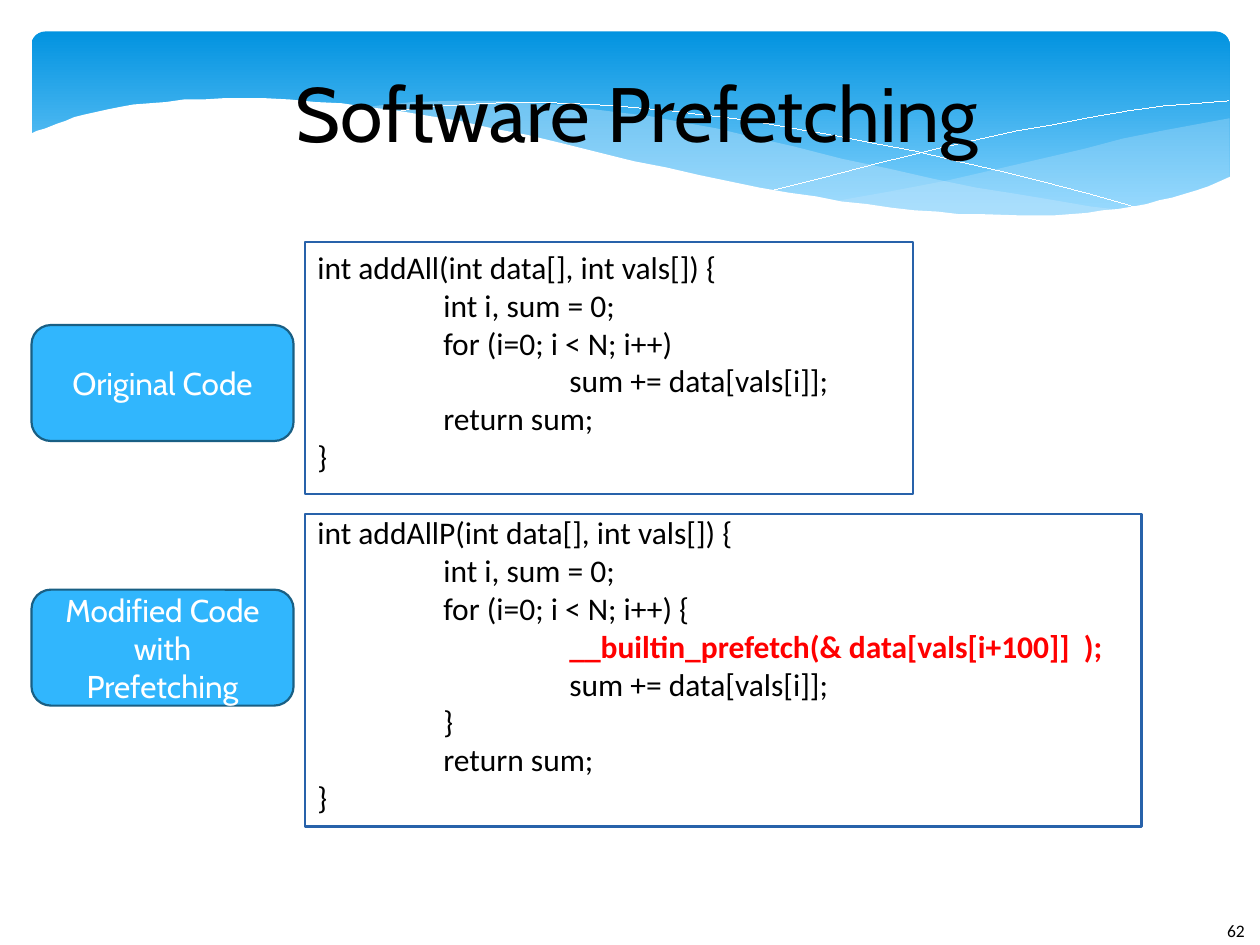
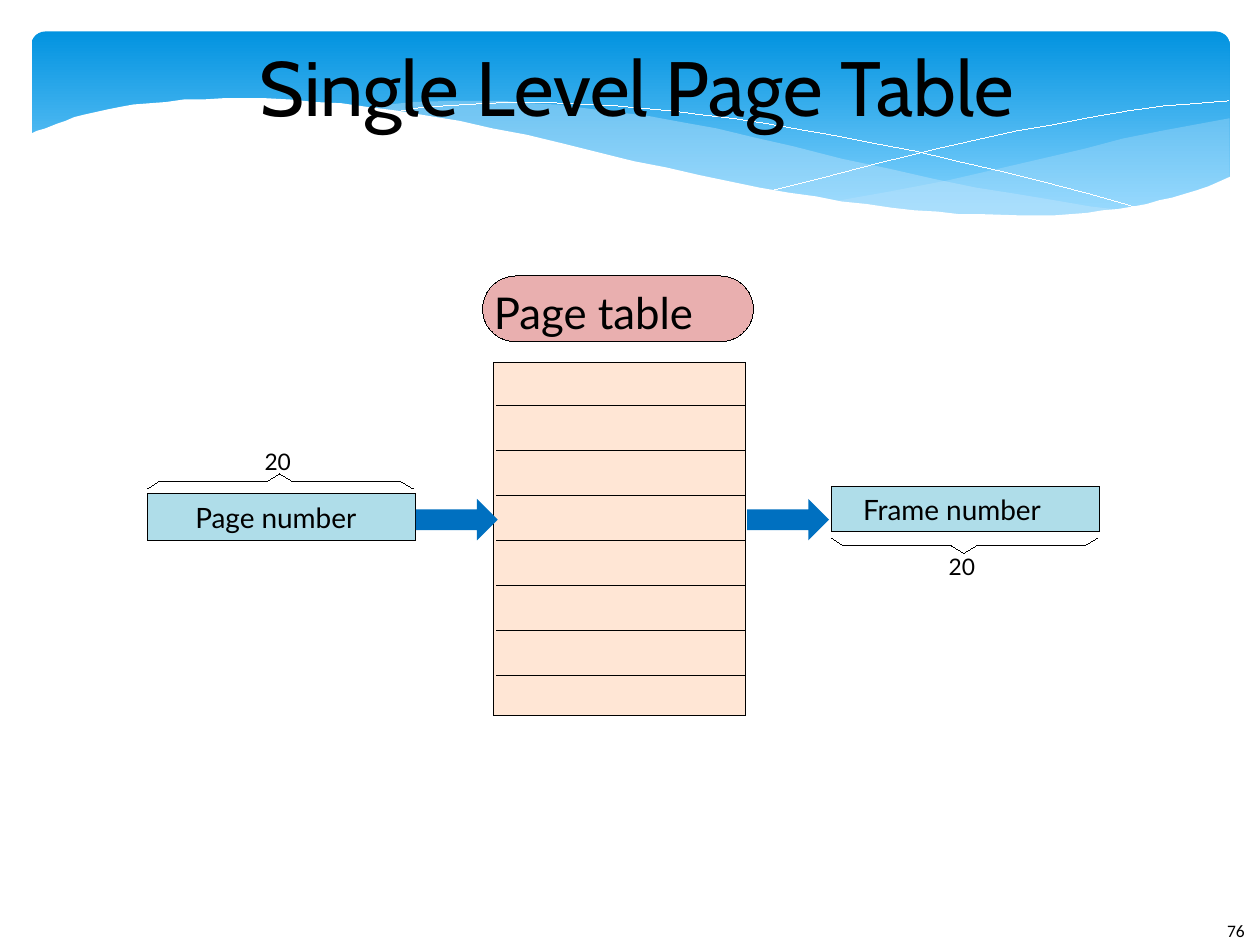
from dataclasses import dataclass

from lxml import etree
from pptx import Presentation
from pptx.dml.color import RGBColor
from pptx.enum.shapes import MSO_CONNECTOR, MSO_SHAPE
from pptx.enum.text import MSO_ANCHOR, MSO_AUTO_SIZE, PP_ALIGN
from pptx.oxml.ns import qn
from pptx.util import Inches, Pt

RECTANGLE = MSO_SHAPE.RECTANGLE
ROUNDED_RECTANGLE = MSO_SHAPE.ROUNDED_RECTANGLE
RIGHT_ARROW = MSO_SHAPE.RIGHT_ARROW
STRAIGHT = MSO_CONNECTOR.STRAIGHT
MIDDLE = MSO_ANCHOR.MIDDLE
CENTER = PP_ALIGN.CENTER
FIXED_SIZE = MSO_AUTO_SIZE.NONE
TITLE_ONLY = 5


@dataclass(frozen=True)
class Theme:
    """Colours, fonts and type sizes of the deck."""

    black: str = "000000"
    white: str = "FFFFFF"
    band_top: str = "0293E0"
    band_bottom: str = "83D3FE"
    wave: str = "C6E7FC"
    button: str = "31B6FD"
    button_line: str = "195F84"
    frame_line: str = "2862AA"
    highlight: str = "FF0000"
    field: str = "AFDDE9"
    table: str = "FFE6D5"
    pill: str = "E9AFAF"
    arrow: str = "0070C0"
    title_font: str = "Cabin"
    code_font: str = "Calibri"
    diagram_font: str = "Lato"
    title_size: int = 44
    pill_size: int = 25
    code_size: int = 18
    field_size: int = 16
    bits_size: int = 13
    number_size: int = 10
    frame_width: float = 1.25
    hairline: float = 0.01


THEME = Theme()

RIGHT_WAVE = [
    (9.75, 0.94), (9.48, 0.99), (9.21, 1.04), (8.91, 1.1), (8.61, 1.18), (8.05, 1.31),
    (7.53, 1.43), (7.06, 1.52), (6.61, 1.6), (6.91, 1.64), (7.19, 1.67), (7.45, 1.69),
    (7.69, 1.71), (7.92, 1.72), (8.35, 1.72), (8.63, 1.7), (8.81, 1.67), (9.05, 1.63),
    (9.28, 1.58), (9.49, 1.52), (9.63, 1.47), (9.76, 1.41), (9.76, 0.94),
]
MIDDLE_WAVE = [
    (8.93, 1.67), (8.66, 1.64), (8.37, 1.59), (8.07, 1.54), (7.75, 1.49), (7.41, 1.42),
    (7.06, 1.34), (6.68, 1.26), (6.29, 1.16), (5.98, 1.09), (5.69, 1.02), (5.41, 0.97),
    (5.14, 0.92), (4.89, 0.89), (4.65, 0.86), (4.42, 0.83), (4.2, 0.82), (3.99, 0.8),
    (3.61, 0.8), (3.28, 0.81), (2.99, 0.84), (2.86, 0.86), (3.23, 0.9), (3.62, 0.97),
    (4.04, 1.06), (4.49, 1.16), (4.91, 1.26), (5.3, 1.35), (5.66, 1.43), (6.01, 1.5),
    (6.34, 1.56), (6.65, 1.61), (6.95, 1.65), (7.22, 1.68), (7.48, 1.7), (7.73, 1.72),
    (7.96, 1.73), (8.28, 1.73), (8.57, 1.71), (8.76, 1.69),
]
FALLING_LINE = [
    (3.09, 0.9), (3.28, 0.86), (3.53, 0.84), (3.87, 0.82), (4.16, 0.81), (4.5, 0.82),
    (4.89, 0.84), (5.1, 0.86), (5.33, 0.88), (5.56, 0.91), (5.82, 0.94), (6.08, 0.98),
    (6.36, 1.03), (6.65, 1.08), (6.95, 1.14), (7.27, 1.2), (7.6, 1.28), (7.95, 1.36),
    (8.31, 1.45), (8.69, 1.55), (9.07, 1.66),
]
RISING_LINE = [
    (6.13, 1.51), (6.53, 1.41), (6.95, 1.3), (7.48, 1.17), (8.06, 1.04), (8.36, 0.99),
    (8.66, 0.93), (8.95, 0.88), (9.24, 0.84), (9.38, 0.83), (9.51, 0.82), (9.75, 0.8),
]
WHITE_SWOOSH = [
    (9.77, 1.4), (9.68, 1.44), (9.59, 1.48), (9.5, 1.51), (9.4, 1.54), (9.3, 1.57),
    (9.2, 1.59), (9.1, 1.62), (8.99, 1.64), (8.87, 1.66), (8.75, 1.67), (8.63, 1.69),
    (8.5, 1.7), (8.37, 1.71), (8.09, 1.71), (7.78, 1.7), (7.61, 1.7), (7.44, 1.68),
    (7.26, 1.67), (7.08, 1.65), (6.88, 1.62), (6.68, 1.6), (6.48, 1.56), (6.26, 1.53),
    (6.03, 1.49), (5.79, 1.44), (5.55, 1.39), (5.29, 1.33), (5.03, 1.28), (4.75, 1.21),
    (4.47, 1.14), (4.18, 1.07), (3.91, 1.02), (3.65, 0.96), (3.4, 0.92), (3.16, 0.88),
    (2.92, 0.85), (2.71, 0.82), (2.5, 0.81), (2.3, 0.79), (2.11, 0.78), (1.77, 0.78),
    (1.61, 0.79), (1.46, 0.79), (1.32, 0.81), (1.19, 0.82), (1.06, 0.83), (0.95, 0.85),
    (0.85, 0.87), (0.76, 0.89), (0.67, 0.91), (0.59, 0.93), (0.52, 0.96), (0.46, 0.98),
    (0.36, 1.02), (0.29, 1.04), (0.23, 1.07), (0.23, 2.24), (9.77, 2.24),
]
BRACE = [
    (0, 0), (0.09, 0.06), (0.95, 0.06), (1.05, 0.12), (1.15, 0.06), (2.01, 0.06), (2.11, 0),
]

PLAIN_CODE = [
    "int addAll(int data[], int vals[]) {",
    "\tint i, sum = 0;",
    "\tfor (i=0; i < N; i++)",
    "\t\tsum += data[vals[i]];",
    "\treturn sum;",
    "}",
]
PREFETCH_LINE = "\t\t__builtin_prefetch(& data[vals[i+100]]  );"
PREFETCH_CODE = [
    "int addAllP(int data[], int vals[]) {",
    "\tint i, sum = 0;",
    "\tfor (i=0; i < N; i++) {",
    PREFETCH_LINE,
    "\t\tsum += data[vals[i]];",
    "\t}",
    "\treturn sum;",
    "}",
]


def color(value):
    """Turn a hex value into a colour."""
    return RGBColor.from_string(value)


def paint(shape, fill=None, line=None, width=THEME.hairline):
    """Set fill and line of a shape and drop its shadow."""
    shape.shadow.inherit = False
    if fill:
        shape.fill.solid()
        shape.fill.fore_color.rgb = color(fill)
    else:
        shape.fill.background()
    if line:
        shape.line.color.rgb = color(line)
        shape.line.width = Pt(width)
    else:
        shape.line.fill.background()
    return shape


def add_box(slide, kind, box, fill=None, line=None, width=THEME.hairline):
    """Add a painted preset shape in a box given in inches."""
    shape = slide.shapes.add_shape(kind, *map(Inches, box))
    return paint(shape, fill, line, width)


def add_outline(slide, points, closed=False, **colors):
    """Add a painted outline through points given in inches."""
    start, *rest = [(Inches(x), Inches(y)) for x, y in points]
    builder = slide.shapes.build_freeform(*start)
    builder.add_line_segments(rest, close=closed)
    return paint(builder.convert_to_shape(), **colors)


def style_text(text_frame, font, size, text_color=THEME.black, align=None):
    """Format every paragraph of a text frame."""
    for paragraph in text_frame.paragraphs:
        paragraph.alignment = align
        for run in paragraph.runs:
            run.font.name = font
            run.font.size = Pt(size)
            run.font.color.rgb = color(text_color)


def set_margins(text_frame, margin):
    """Give a text frame equal insets on all sides."""
    text_frame.margin_left = text_frame.margin_right = Inches(margin)
    text_frame.margin_top = text_frame.margin_bottom = Inches(margin)


def add_text(slide, text, box, font, size, inset=True):
    """Add a wrapping text box, with or without insets."""
    text_frame = slide.shapes.add_textbox(*map(Inches, box)).text_frame
    text_frame.word_wrap = True
    if not inset:
        set_margins(text_frame, 0)
    text_frame.text = text
    style_text(text_frame, font, size)
    return text_frame


def move_band_to_layout(slide):
    """Draw the wave band and place it behind the layout's placeholders."""
    band = add_box(slide, ROUNDED_RECTANGLE, (0.25, 0.25, 9.51, 1.56))
    band.adjustments[0] = 0.07
    band.fill.gradient()
    band.fill.gradient_angle = 270
    stops = zip(band.fill.gradient_stops, (0, 0.9), (THEME.band_top, THEME.band_bottom))
    for stop, position, value in stops:
        stop.position = position
        stop.color.rgb = color(value)
    parts = [band]
    for points, opacity in ((RIGHT_WAVE, 29), (MIDDLE_WAVE, 40)):
        wave = add_outline(slide, points, closed=True, fill=THEME.wave)
        for fill_color in wave.element.iter(qn("a:srgbClr")):
            etree.SubElement(fill_color, qn("a:alpha"), val=str(opacity * 1000))
        parts.append(wave)
    for points in (FALLING_LINE, RISING_LINE):
        parts.append(add_outline(slide, points, line=THEME.white))
    parts.append(add_outline(slide, WHITE_SWOOSH, closed=True, fill=THEME.white))
    layout_tree = slide.slide_layout.placeholders[0].element.getparent()
    for order, part in enumerate(parts):
        part.element.nvSpPr.cNvPr.id = 100 + order
        layout_tree.insert(2 + order, part.element)


def add_titled_slide(presentation, title, title_top, number):
    """Add a slide with its title and slide number."""
    slide = presentation.slides.add_slide(presentation.slide_layouts[TITLE_ONLY])
    shape = slide.shapes.title
    shape.left, shape.top = Inches(1), Inches(title_top)
    shape.width, shape.height = Inches(8.11), Inches(1.02)
    text_frame = shape.text_frame
    text_frame.text = title
    text_frame.word_wrap = True
    text_frame.auto_size = FIXED_SIZE
    text_frame.vertical_anchor = MIDDLE
    set_margins(text_frame, 0)
    style_text(text_frame, THEME.title_font, THEME.title_size, align=CENTER)
    add_text(slide, number, (9.64, 7.25, 0.61, 0.4), THEME.code_font, THEME.number_size)
    return slide


def add_code_label(slide, text, top):
    """Add a rounded label left of a code frame."""
    box = (0.25, top, 2.08, 0.92)
    label = add_box(slide, ROUNDED_RECTANGLE, box, THEME.button,
                    THEME.button_line, THEME.frame_width)
    label.text_frame.text = text
    label.text_frame.vertical_anchor = MIDDLE
    style_text(label.text_frame, THEME.title_font, THEME.code_size, THEME.white, CENTER)


def add_code_listing(slide, box):
    """Add both functions, one line height apart, with the prefetch marked."""
    text = "\n".join(PLAIN_CODE + PREFETCH_CODE)
    text_frame = add_text(slide, text, box, THEME.code_font, THEME.code_size)
    for paragraph in text_frame.paragraphs:
        properties = paragraph._p.get_or_add_pPr()
        tabs = etree.SubElement(properties, qn("a:tabLst"))
        for level in (1, 2):
            etree.SubElement(tabs, qn("a:tab"), pos=str(Inches(level)), algn="l")
        if paragraph.text == PREFETCH_CODE[0]:
            paragraph.space_before = Pt(22)
        if paragraph.text == PREFETCH_LINE:
            paragraph.runs[0].font.bold = True
            paragraph.runs[0].font.color.rgb = color(THEME.highlight)


def build_prefetching(presentation):
    """Build the slide comparing code with and without prefetching."""
    slide = add_titled_slide(presentation, "Software Prefetching", 0.38, "62")
    add_code_listing(slide, (2.42, 1.92, 6.65, 4.64))
    for frame in ((2.42, 1.92, 4.83, 2), (2.42, 4.08, 6.64, 2.48)):
        add_box(slide, RECTANGLE, frame, line=THEME.frame_line, width=THEME.frame_width)
    add_code_label(slide, "Original Code", 2.58)
    add_code_label(slide, "Modified Code\nwith\nPrefetching", 4.68)
    return slide


def add_field(slide, name, box, indent, brace_offset, direction, bits_top):
    """Add a named address field with a brace and its bit count."""
    left, top, width, _ = box
    add_box(slide, RECTANGLE, box, THEME.field, THEME.black)
    add_text(slide, name, (left + indent, top + 0.05, width - indent, 0.32),
             THEME.diagram_font, THEME.field_size, inset=False)
    brace = [(left + x, top + brace_offset + direction * y) for x, y in BRACE]
    add_outline(slide, brace, line=THEME.black)
    add_text(slide, "20", (left + 0.93, bits_top, 0.3, 0.26),
             THEME.diagram_font, THEME.bits_size, inset=False)


def add_page_table(slide, box):
    """Add the page table with eight rows and its heading."""
    left, top, width, height = box
    add_box(slide, RECTANGLE, box, THEME.table, THEME.black)
    for row in range(7):
        y = Inches(top + 0.34 + row * 2.14 / 6)
        divider = slide.shapes.add_connector(
            STRAIGHT, Inches(left + 0.02), y, Inches(left + width - 0.01), y)
        divider.line.color.rgb = color(THEME.black)
        divider.line.width = Pt(THEME.hairline)
        etree.SubElement(divider.element.spPr, qn("a:effectLst"))
    pill = add_box(slide, ROUNDED_RECTANGLE, (left - 0.09, top - 0.69, 2.15, 0.52),
                   THEME.pill, THEME.black)
    pill.adjustments[0] = 0.5
    add_text(slide, "Page table", (left, top - 0.61, 1.81, 0.46),
             THEME.diagram_font, THEME.pill_size, inset=False)


def build_page_table(presentation):
    """Build the slide mapping a page number to a frame number."""
    slide = add_titled_slide(presentation, "Single Level Page Table", 0.17, "76")
    add_field(slide, "Page number", (1.17, 3.92, 2.13, 0.37), 0.38, -0.04, -1, 3.55)
    add_field(slide, "Frame number", (6.6, 3.86, 2.13, 0.36), 0.25, 0.41, 1, 4.39)
    add_page_table(slide, (3.92, 2.88, 2, 2.8))
    for left in (3.3, 5.93):
        add_box(slide, RIGHT_ARROW, (left, 3.96, 0.65, 0.33), THEME.arrow)


def main():
    """Build and save the presentation."""
    presentation = Presentation()
    presentation.slide_width, presentation.slide_height = Inches(10), Inches(7.5)
    move_band_to_layout(build_prefetching(presentation))
    build_page_table(presentation)
    presentation.save("out.pptx")


if __name__ == "__main__":
    main()
